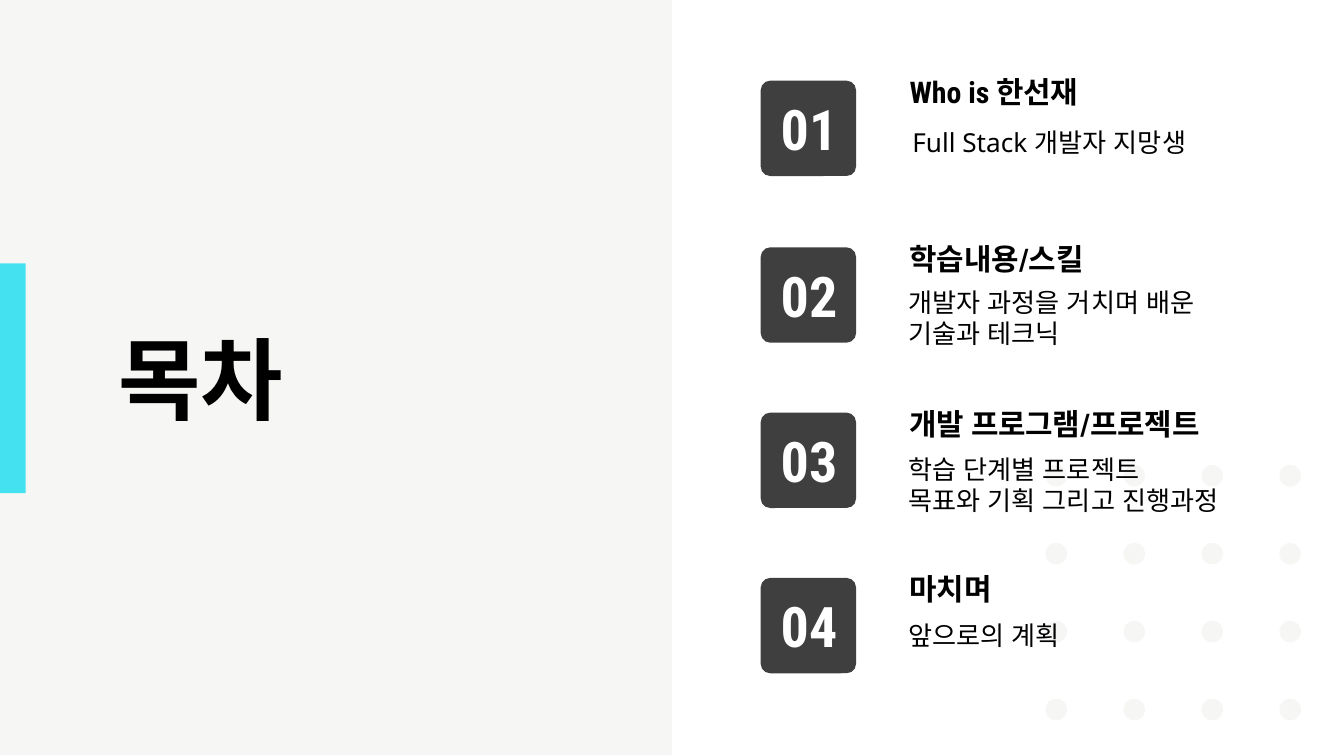
"""Build the table of contents slide of a developer portfolio."""
from pptx import Presentation
from pptx.dml.color import RGBColor
from pptx.enum.shapes import MSO_SHAPE as Shape
from pptx.enum.text import MSO_ANCHOR as Anchor, MSO_AUTO_SIZE as AutoSize, PP_ALIGN as Align
from pptx.oxml.ns import qn
from pptx.util import Inches, Pt

BLACK = RGBColor(0x00, 0x00, 0x00)
WHITE = RGBColor(0xFF, 0xFF, 0xFF)
PALE = RGBColor(0xF6, 0xF6, 0xF4)
DARK = RGBColor(0x3F, 0x3F, 0x3F)
CYAN = RGBColor(0x44, 0xE1, 0xF1)
HEADING_FONT = "Roboto Condensed"
BODY_FONT = "Noto Sans"

deck = Presentation()
deck.slide_width = Inches(10)
deck.slide_height = Inches(10 * 9 / 16)
slide = deck.slides.add_slide(deck.slide_layouts[5])


def add_block(kind, left, top, width, height, color):
    block = slide.shapes.add_shape(kind, Inches(left), Inches(top), Inches(width), Inches(height))
    block.shadow.inherit = False
    block.fill.solid()
    block.fill.fore_color.rgb = color
    block.line.fill.background()
    return block


def write(box, lines, size, font, color=BLACK, align=Align.LEFT, anchor=Anchor.TOP, side=0.1):
    frame = box.text_frame
    frame.word_wrap = True
    frame.auto_size = AutoSize.NONE
    frame.vertical_anchor = anchor
    frame.margin_left = frame.margin_right = Inches(side)
    frame.margin_top = frame.margin_bottom = Inches(0.1)
    for index, line in enumerate(lines):
        para = frame.add_paragraph() if index else frame.paragraphs[0]
        para.alignment = align
        para.line_spacing = 1.0
        para.space_before = Pt(0)
        span = para.add_run()
        span.text = line
        span.font.size = Pt(size)
        span.font.name = font
        span.font.bold = font == HEADING_FONT
        span.font.color.rgb = color
        properties = span.font._element
        east_asian = properties.makeelement(qn("a:ea"), {"typeface": font})
        properties.find(qn("a:latin")).addnext(east_asian)


add_block(Shape.RECTANGLE, 0, -0.01, 5, 5.63, PALE)
for row in range(4):
    for column in range(4):
        add_block(Shape.OVAL, 7.78 + 0.58 * column, 3.46 + 0.58 * row, 0.16, 0.16, PALE)

title = slide.shapes.title
title.element.getparent().append(title.element)
title.left, title.top, title.width, title.height = Inches(0.78), Inches(1.85), Inches(3.36), Inches(1.92)
write(title, ["목차"], 48, HEADING_FONT, anchor=Anchor.MIDDLE)

chapters = [
    (0.60, "Who is 한선재", 2.39, 6.57, 0.84, 2.56, ["Full Stack 개발자 지망생"]),
    (1.84, "학습내용/스킬", 2.39, 6.66, 2.03, 2.56, ["개발자 과정을 거치며 배운 기술과 테크닉"]),
    (3.07, "개발 프로그램/프로젝트", 2.67, 6.66, 3.27, 2.75, ["학습 단계별 프로젝트", "목표와 기획 그리고 진행과정"]),
    (4.30, "마치며", 2.39, 6.66, 4.51, 2.56, ["앞으로의 계획"]),
]
for number, chapter in enumerate(chapters, 1):
    top, heading, heading_width, body_left, body_top, body_width, body_lines = chapter
    tile = add_block(Shape.ROUNDED_RECTANGLE, 5.66, top, 0.71, 0.71, DARK)
    tile.adjustments[0] = 0.1

    number_box = slide.shapes.add_textbox(Inches(5.72), Inches(top + 0.14), Inches(0.6), Inches(0.43))
    write(number_box, [f"{number:02}"], 30, HEADING_FONT, WHITE, Align.CENTER, Anchor.MIDDLE, 0)

    heading_box = slide.shapes.add_textbox(Inches(6.67), Inches(top - 0.15), Inches(heading_width), Inches(0.43))
    write(heading_box, [heading], 16, HEADING_FONT)

    body_box = slide.shapes.add_textbox(Inches(body_left), Inches(body_top), Inches(body_width), Inches(0.6))
    write(body_box, body_lines, 14, BODY_FONT)
    if number == 1:
        indent = body_box.text_frame.paragraphs[0]._p.get_or_add_pPr()
        indent.set("marL", str(Inches(0.5)))
        indent.set("indent", str(Inches(-0.38)))

add_block(Shape.RECTANGLE, 0, 1.96, 0.19, 1.71, CYAN)
deck.save("out.pptx")
